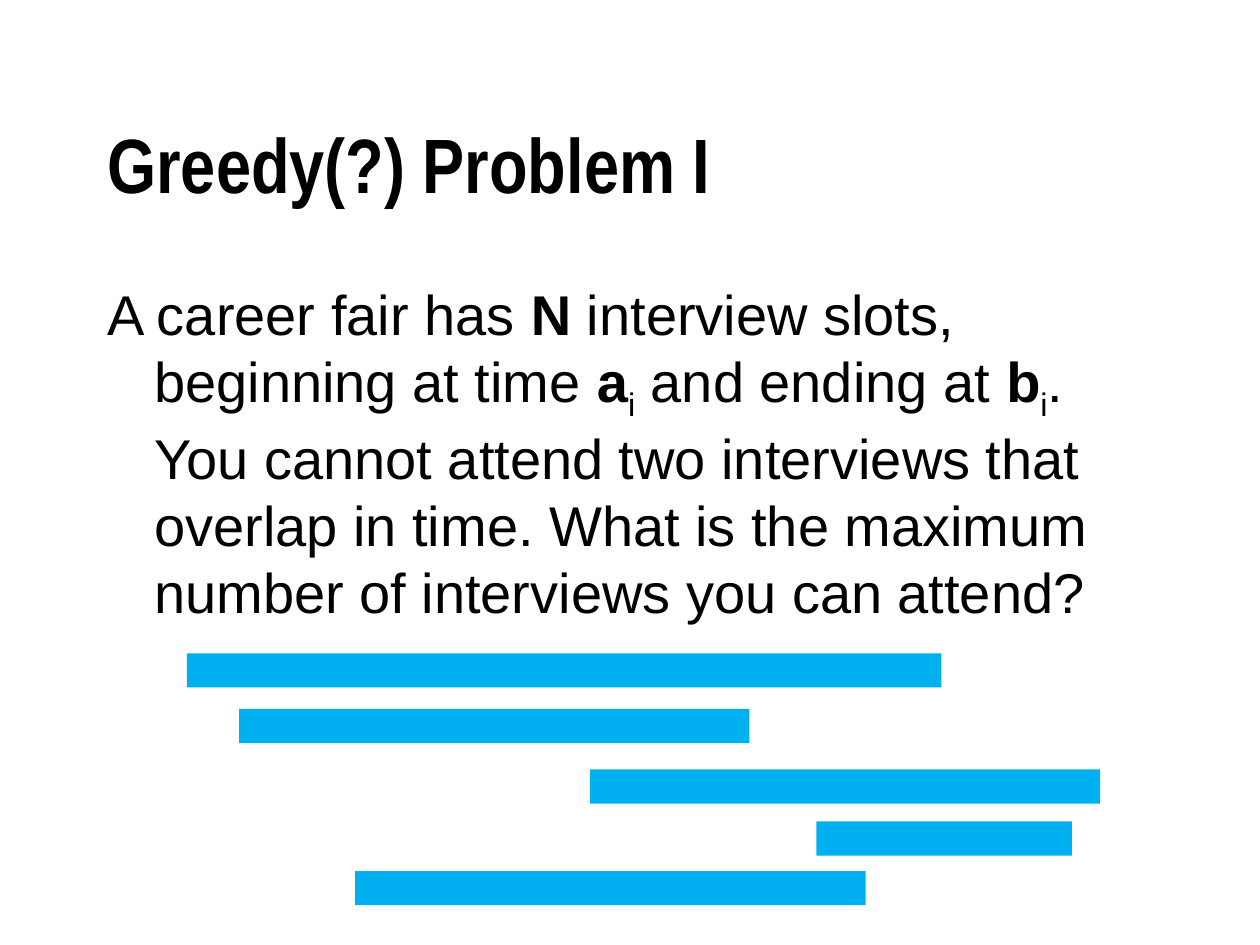
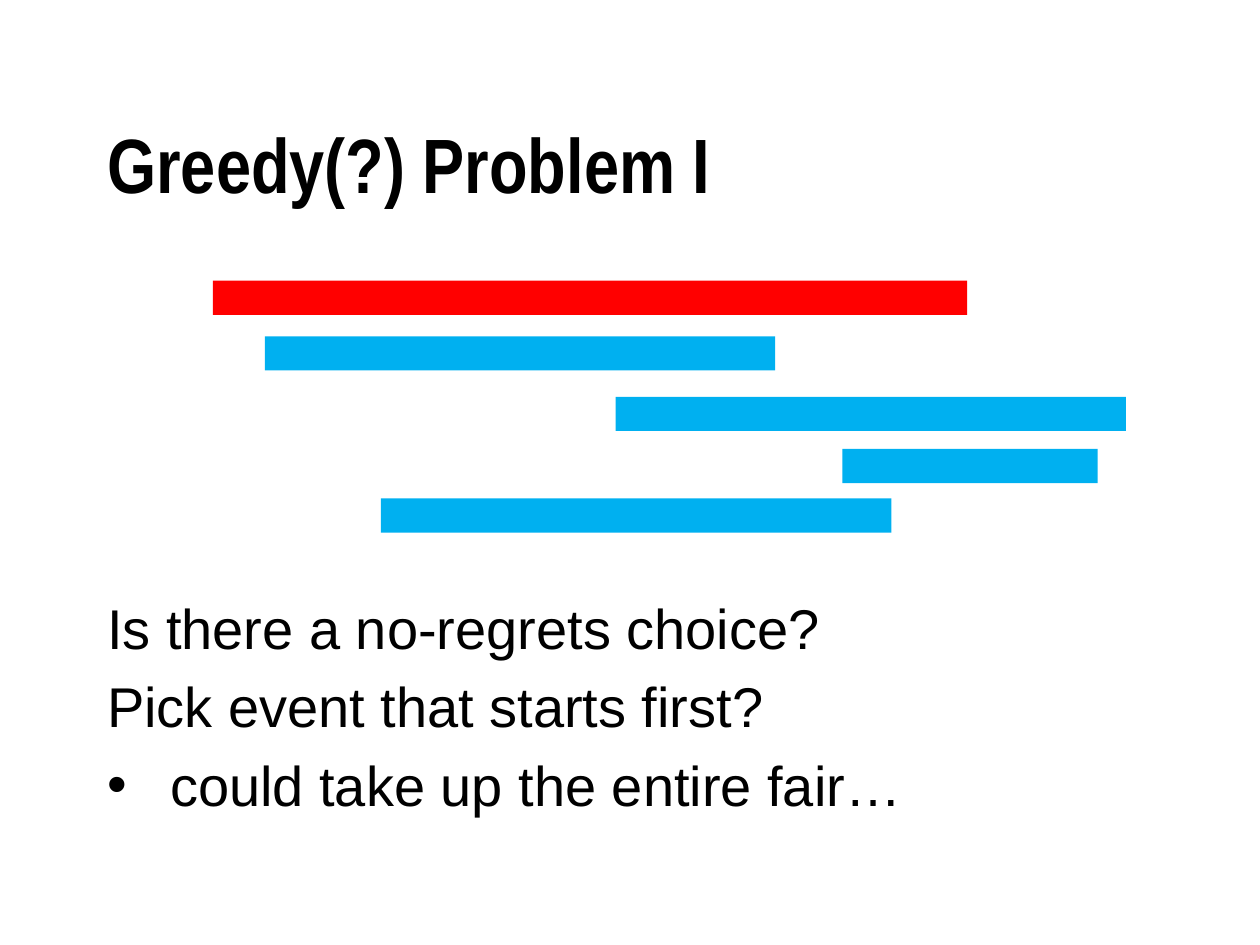
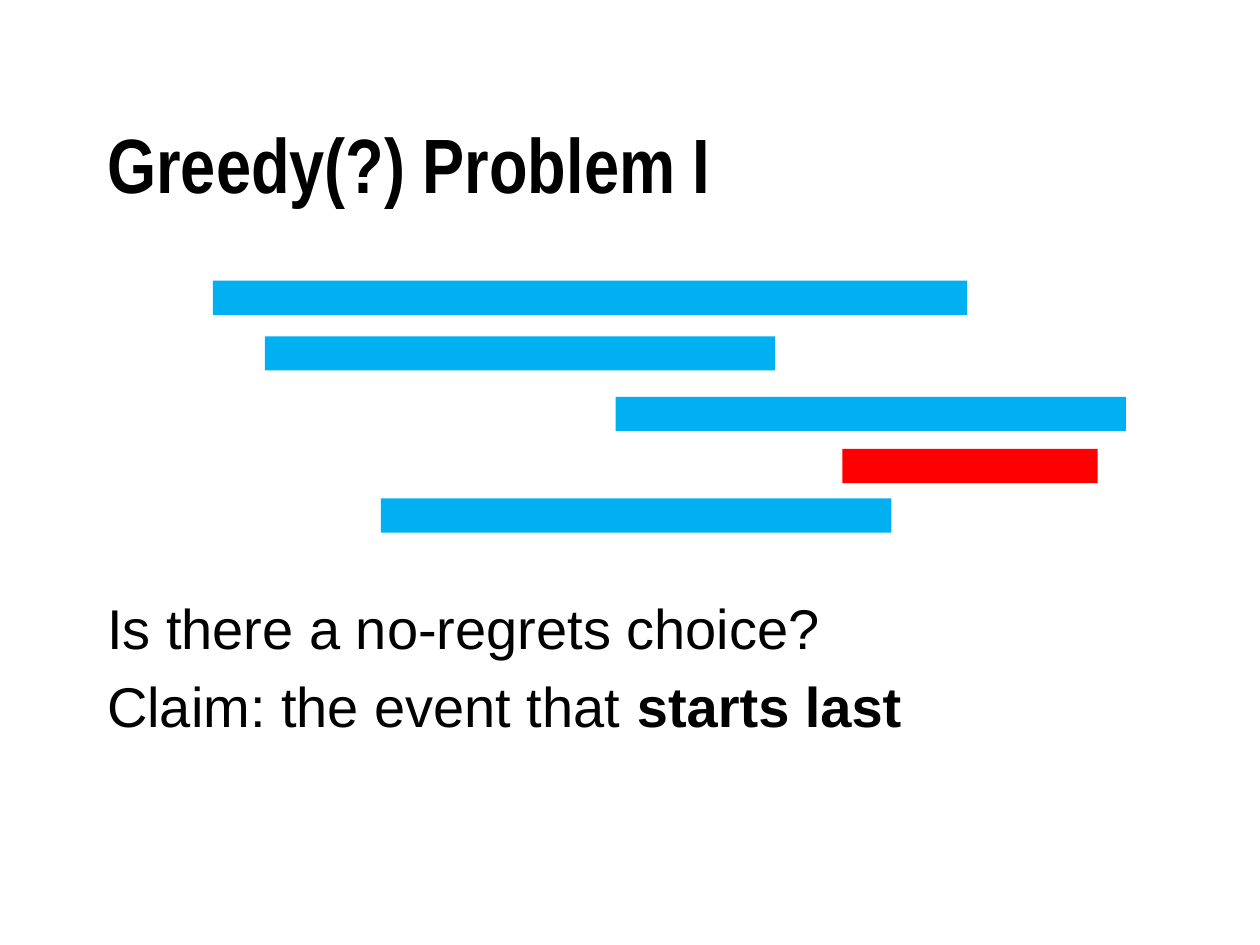
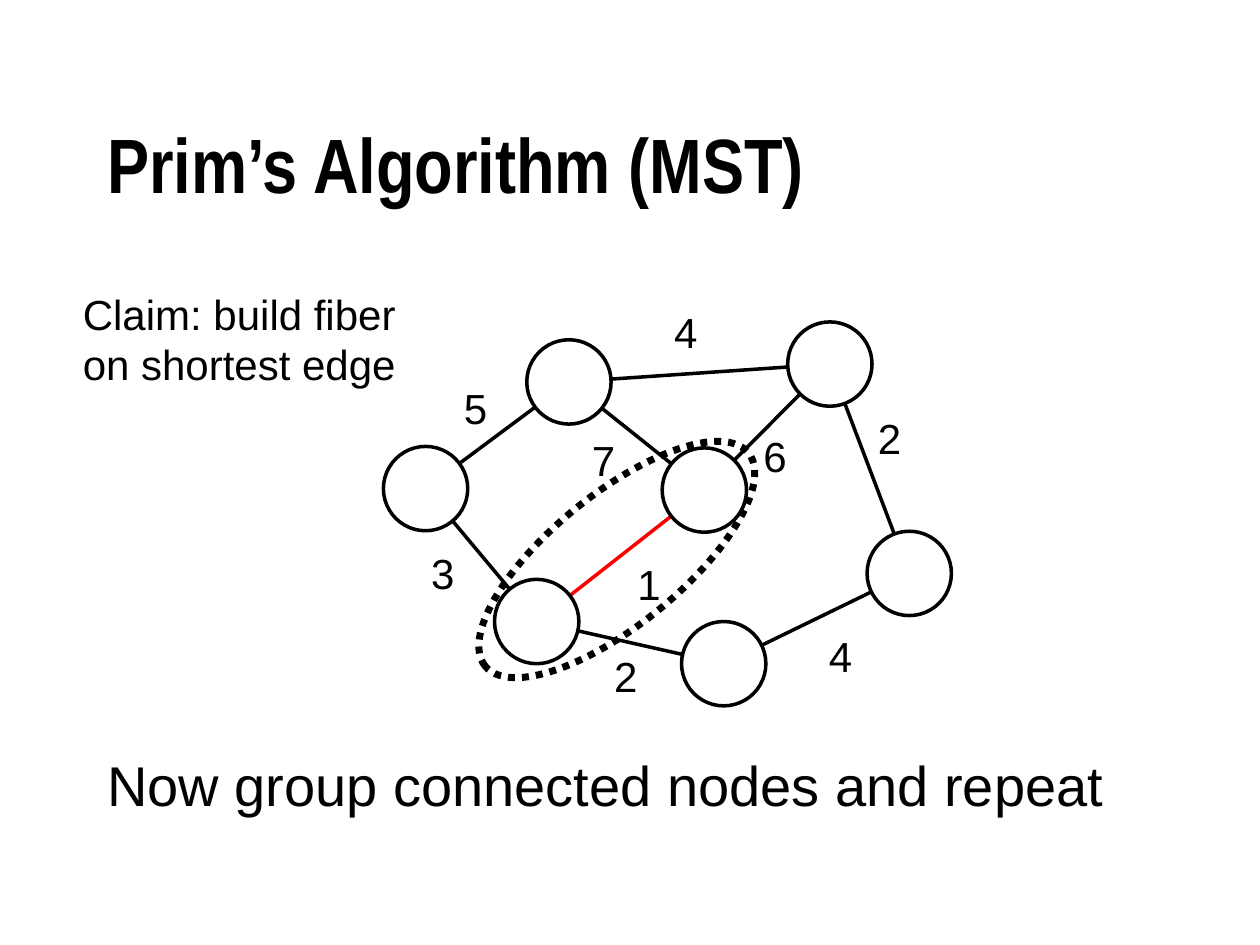
from lxml import etree
from pptx import Presentation
from pptx import util as u
from pptx.dml.color import RGBColor
from pptx.enum import dml, shapes, text
from pptx.oxml.ns import qn

BLACK, WHITE, BLUE, RED = "000000", "FFFFFF", "00B0F0", "FF0000"
TITLE_FONT, BODY_FONT = "Arial Narrow", "Arial"
TITLE_AREA = (1.91, 1.69, 21.59, 3.18)
BODY_AREA = (1.91, 5.51, 21.59, 11.43)
BODY_INSET, LINE_PITCH, LINE_GAP = 0.13, 1.58, 6.4
HANGING, BULLET_HANGING = 0.95, 1.27

INTERVIEWS = [
    (0, 0, 15.21),
    (1.05, 1.12, 10.29),
    (8.12, 2.34, 10.29),
    (12.69, 3.39, 5.15),
    (3.39, 4.39, 10.29),
]
INTERVIEW_HEIGHT = 0.69

QUESTION = [("Is there a no-regrets choice?", "")]
FAIR_SLIDES = [
    {
        "body": [[
            ("A career fair has ", ""), ("N", "bold"),
            (" interview slots, beginning at time ", ""),
            ("a", "bold"), ("i", "sub"), (" and ending at ", ""),
            ("b", "bold"), ("i", "sub"),
            (". You cannot attend two interviews that overlap in time. "
             "What is the maximum number of interviews you can attend?", ""),
        ]],
        "lines_above": 0, "origin": (3.77, 13.17), "chosen": None,
    },
    {
        "body": [
            QUESTION,
            [("Pick event that starts first?", "")],
            [("could take up the entire fair…", "bullet")],
        ],
        "lines_above": 4, "origin": (4.29, 5.66), "chosen": 0,
    },
    {
        "body": [
            QUESTION,
            [("Claim: the event that ", ""), ("starts last", "bold")],
        ],
        "lines_above": 4, "origin": (4.29, 5.66), "chosen": 3,
    },
]

NODES = {
    "west": (8.58, 9.85),
    "north": (11.47, 7.7),
    "southwest": (10.82, 12.53),
    "south": (14.59, 13.38),
    "northeast": (16.73, 7.34),
    "east": (18.33, 11.56),
    "centre": (14.2, 9.88),
}
NODE_SIZE = 1.7
EDGES = [
    ("north", "northeast", "4", (13.34, 6.05)),
    ("north", "centre", "7", (11.68, 8.64)),
    ("centre", "northeast", "6", (15.14, 8.56)),
    ("west", "north", "5", (9.1, 7.59)),
    ("southwest", "centre", "1", (12.6, 11.13)),
    ("south", "east", "4", (16.46, 12.58)),
    ("east", "northeast", "2", (17.45, 8.19)),
    ("south", "southwest", "2", (12.13, 12.99)),
    ("southwest", "west", "3", (8.44, 10.92)),
]
SHORTEST = ("southwest", "centre")
WEIGHT_SIZE = (0.99, 1.27)
CLAIM = ["Claim: build fiber", "on shortest edge"]
CLAIM_AREA = (1.42, 5.69, 6.88, 2.31)
GROUP_AREA, GROUP_ROTATION = (9.02, 9.96, 6.83, 2.64), 321
NEXT_STEP = [[("Now group connected nodes and repeat", "")]]


def cm(*lengths):
    return [u.Cm(length) for length in lengths]


def rgb(value):
    return RGBColor.from_string(value)


def add_run(paragraph, words, size, style="", font=BODY_FONT):
    run = paragraph.add_run()
    run.text = words
    run.font.name, run.font.size = font, u.Pt(size)
    run.font.bold = style == "bold"
    run.font.color.rgb = rgb(BLACK)
    if style == "sub":
        run._r.get_or_add_rPr().set("baseline", "-25000")


def add_titled_slide(deck, heading):
    slide = deck.slides.add_slide(deck.slide_layouts[5])
    title = slide.shapes.title
    title.left, title.top, title.width, title.height = cm(*TITLE_AREA)
    frame = title.text_frame
    frame.auto_size = text.MSO_AUTO_SIZE.NONE
    frame.vertical_anchor = text.MSO_ANCHOR.MIDDLE
    frame.paragraphs[0].alignment = text.PP_ALIGN.LEFT
    add_run(frame.paragraphs[0], heading, 44, "bold", TITLE_FONT)
    return slide


def add_body(slide, paragraphs, lines_above):
    frame = slide.shapes.add_textbox(*cm(*BODY_AREA)).text_frame
    frame.word_wrap = True
    frame.margin_top = u.Cm(BODY_INSET + lines_above * LINE_PITCH)
    for index, runs in enumerate(paragraphs):
        paragraph = frame.add_paragraph() if index else frame.paragraphs[0]
        paragraph.space_before = u.Pt(LINE_GAP)
        bulleted = runs[0][1] == "bullet"
        hanging = u.Cm(BULLET_HANGING if bulleted else HANGING)
        properties = paragraph._p.get_or_add_pPr()
        properties.set("marL", str(hanging))
        properties.set("indent", str(-hanging))
        if bulleted:
            etree.SubElement(properties, qn("a:buFont"), typeface=BODY_FONT)
            etree.SubElement(properties, qn("a:buChar"), char="•")
        for words, style in runs:
            add_run(paragraph, words, 32, style)


def add_label(slide, area, lines):
    frame = slide.shapes.add_textbox(*cm(*area)).text_frame
    frame.word_wrap = False
    frame.auto_size = text.MSO_AUTO_SIZE.SHAPE_TO_FIT_TEXT
    for index, words in enumerate(lines):
        paragraph = frame.add_paragraph() if index else frame.paragraphs[0]
        add_run(paragraph, words, 24)


def add_plain_shape(slide, kind, area, fill=None, line_width=0):
    shape = slide.shapes.add_shape(kind, *cm(*area))
    shape.shadow.inherit = False
    if fill:
        shape.fill.solid()
        shape.fill.fore_color.rgb = rgb(fill)
    else:
        shape.fill.background()
    if line_width:
        shape.line.color.rgb = rgb(BLACK)
        shape.line.width = u.Pt(line_width)
    else:
        shape.line.fill.background()
    return shape


def add_edge(slide, start, end, color):
    edge = slide.shapes.add_connector(
        shapes.MSO_CONNECTOR.STRAIGHT, *cm(*NODES[start], *NODES[end]))
    edge.line.color.rgb = rgb(color)
    edge.line.width = u.Pt(2)
    etree.SubElement(edge._element.spPr, qn("a:effectLst"))


def add_fair_slide(deck, content):
    slide = add_titled_slide(deck, "Greedy(?) Problem I")
    add_body(slide, content["body"], content["lines_above"])
    left, top = content["origin"]
    for index, (start, drop, length) in enumerate(INTERVIEWS):
        add_plain_shape(
            slide, shapes.MSO_SHAPE.RECTANGLE,
            (left + start, top + drop, length, INTERVIEW_HEIGHT),
            RED if index == content["chosen"] else BLUE)


def add_graph_slide(deck):
    slide = add_titled_slide(deck, "Prim’s Algorithm (MST)")
    add_body(slide, NEXT_STEP, 6)
    for start, end, _, _ in EDGES:
        add_edge(slide, start, end, RED if (start, end) == SHORTEST else BLACK)
    for x, y in NODES.values():
        area = (x - NODE_SIZE / 2, y - NODE_SIZE / 2, NODE_SIZE, NODE_SIZE)
        add_plain_shape(slide, shapes.MSO_SHAPE.OVAL, area, WHITE, 2)
    for _, _, weight, corner in EDGES:
        add_label(slide, corner + WEIGHT_SIZE, [weight])
    add_label(slide, CLAIM_AREA, CLAIM)
    group = add_plain_shape(
        slide, shapes.MSO_SHAPE.OVAL, GROUP_AREA, line_width=4)
    group.rotation = GROUP_ROTATION
    group.line.dash_style = dml.MSO_LINE.ROUND_DOT


def main():
    deck = Presentation()
    deck.slide_width, deck.slide_height = cm(25.4, 19.05)
    for content in FAIR_SLIDES:
        add_fair_slide(deck, content)
    add_graph_slide(deck)
    deck.save("out.pptx")


if __name__ == "__main__":
    main()
